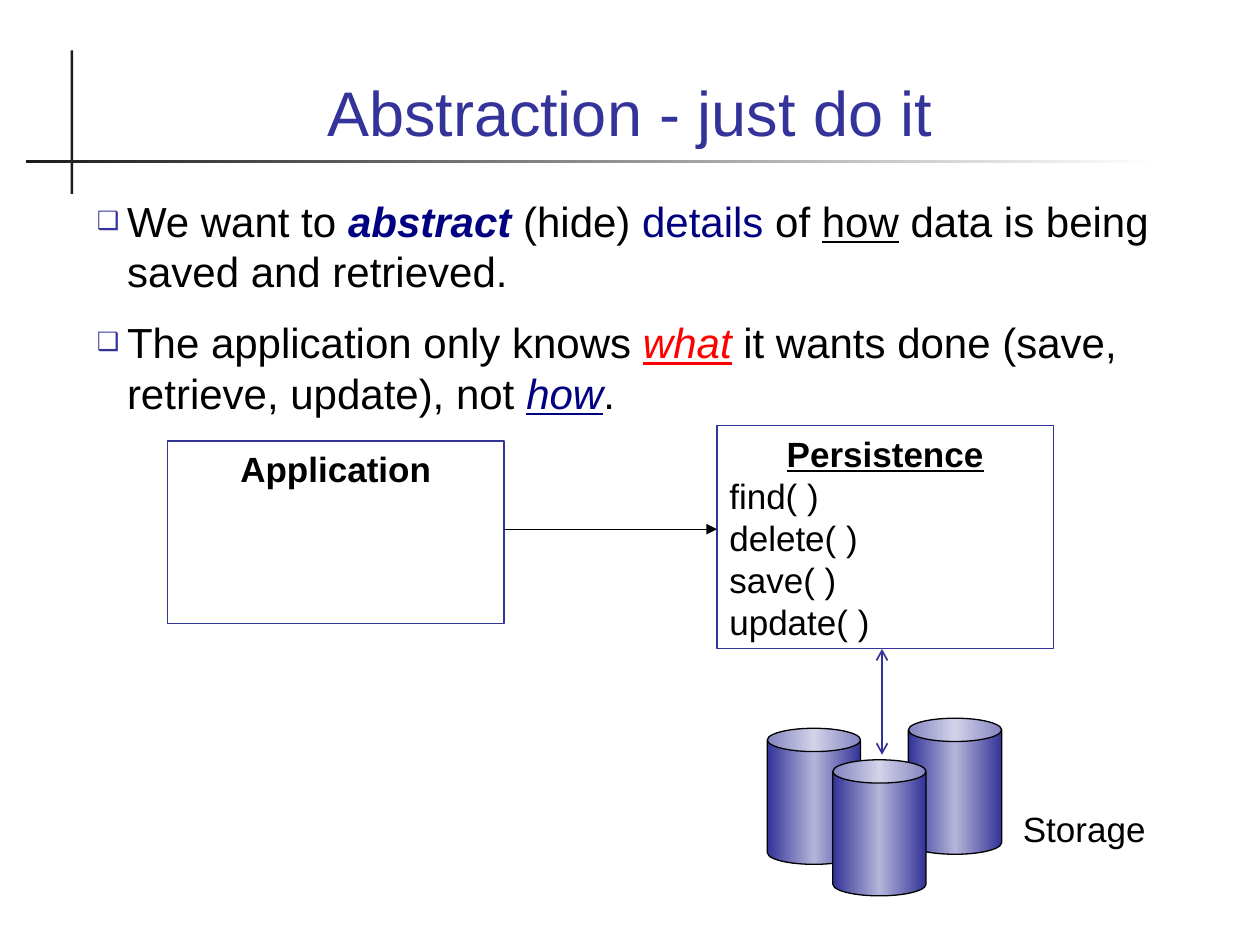
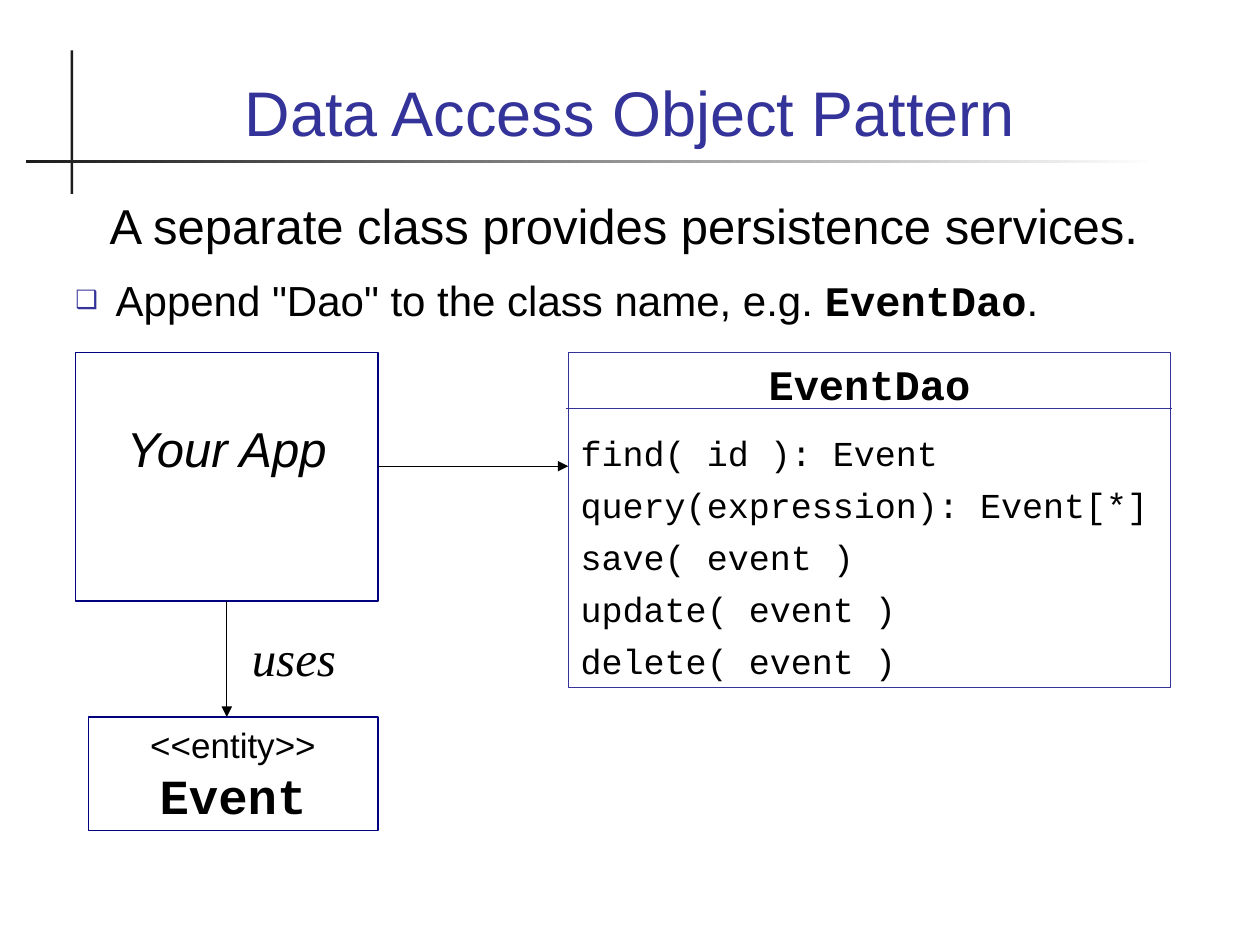
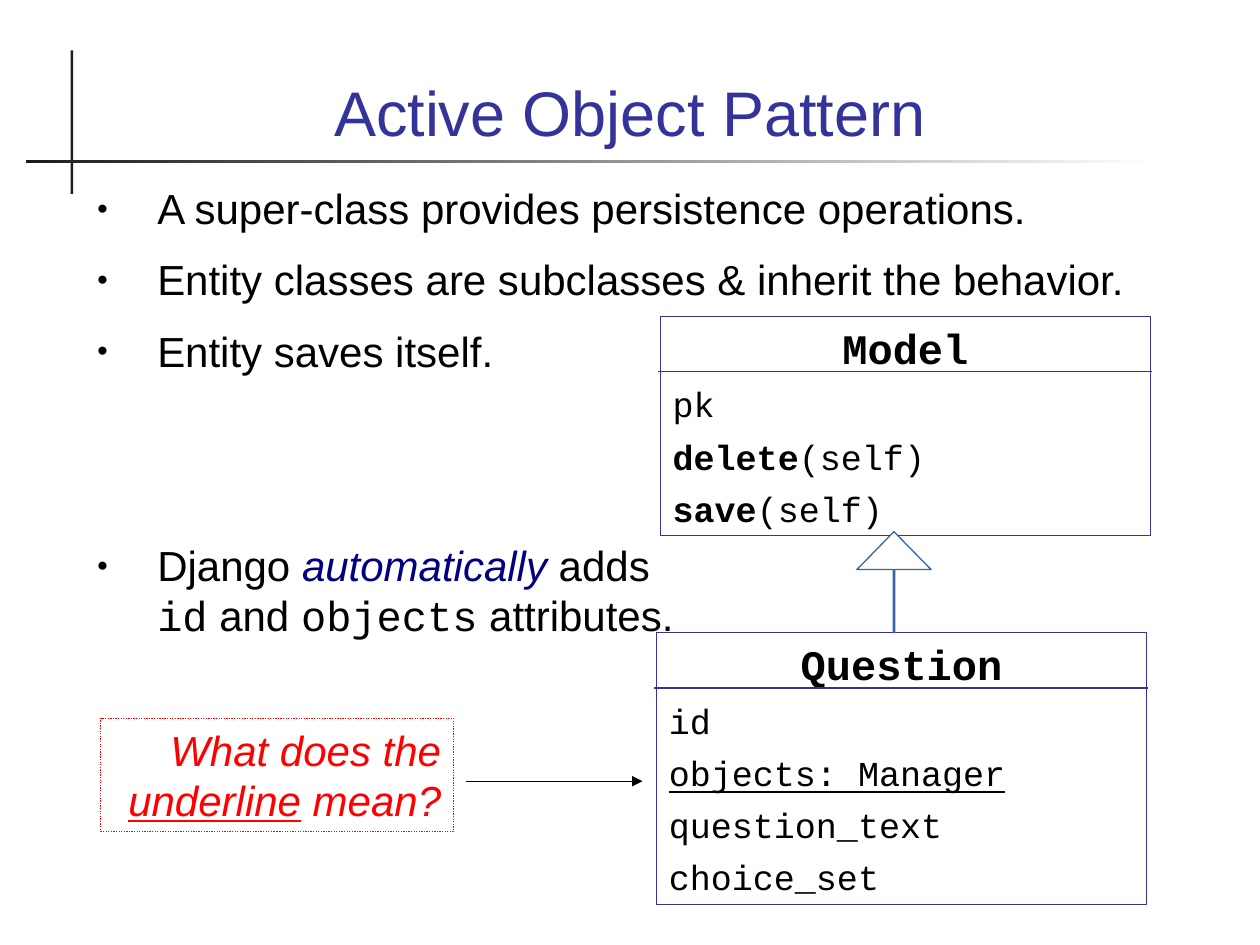
from lxml import etree
from pptx import Presentation
from pptx.dml.color import RGBColor
from pptx.enum.dml import MSO_LINE
from pptx.enum.shapes import MSO_CONNECTOR, MSO_SHAPE
from pptx.enum.text import MSO_ANCHOR, PP_ALIGN
from pptx.oxml.ns import qn
from pptx.util import Inches, Pt

RECTANGLE, CAN, UP_ARROW = MSO_SHAPE.RECTANGLE, MSO_SHAPE.CAN, MSO_SHAPE.UP_ARROW
STRAIGHT = MSO_CONNECTOR.STRAIGHT
DOTTED = MSO_LINE.ROUND_DOT
LEFT, CENTER, RIGHT = PP_ALIGN.LEFT, PP_ALIGN.CENTER, PP_ALIGN.RIGHT
TOP, BOTTOM = MSO_ANCHOR.TOP, MSO_ANCHOR.BOTTOM

INDIGO, NAVY, RED, BLACK, WHITE = "333399", "000080", "FF0000", "000000", "FFFFFF"
CHARCOAL, LAVENDER, STEEL = "1C1C1C", "B5B5D9", "3465A4"
SANS, MONO, SERIF = "Arial", "Courier New", "Times New Roman"
LINE_HEIGHT = 1.2
SQUARE_BULLET = {"char": "❑", "color": INDIGO, "percent": 60, "indent": 0.24}
WIDE_SQUARE_BULLET = {**SQUARE_BULLET, "indent": 0.32}
DOT_BULLET = {"char": "●", "color": BLACK, "percent": 45, "indent": 0.48}
BOLD, UNDERLINE, CODE = {"bold": True}, {"underline": True}, {"name": MONO}


def rgb(color):
    """Turn a hex string into a colour."""
    return RGBColor.from_string(color)


def add_bullet(para, bullet):
    """Give a paragraph a coloured bullet with a hanging indent."""
    props = para._p.get_or_add_pPr()
    indent = Inches(bullet["indent"])
    props.set("marL", str(indent))
    props.set("indent", str(-indent))
    color = etree.SubElement(props, qn("a:buClr"))
    etree.SubElement(color, qn("a:srgbClr"), val=bullet["color"])
    etree.SubElement(props, qn("a:buSzPct"), val=str(bullet["percent"] * 1000))
    etree.SubElement(props, qn("a:buFont"), typeface=SANS)
    etree.SubElement(props, qn("a:buChar"), char=bullet["char"])


def add_span(para, text, look):
    """Add one run with its font values, or a line break."""
    if text == "\n":
        para.add_line_break()
        return
    span = para.add_run()
    span.text = text
    values = {"name": SANS, "color": BLACK, **look}
    span.font.color.rgb = rgb(values.pop("color"))
    for key, value in values.items():
        setattr(span.font, key, value)


def paragraph(*spans, size=24, align=LEFT, gap=0, bullet=None, **look):
    """Describe a paragraph; each span is a text or a (text, look) pair."""
    pairs = [(span, {}) if isinstance(span, str) else span for span in spans]
    return {"spans": [(text, {**look, **own}) for text, own in pairs],
            "size": size, "align": align, "gap": gap, "bullet": bullet}


def fill_text(shape, paragraphs, anchor=TOP, top_inset=0.05):
    """Write the described paragraphs into a shape."""
    frame = shape.text_frame
    settings = {"word_wrap": True, "vertical_anchor": anchor,
                "margin_left": Inches(0.1), "margin_right": Inches(0.1),
                "margin_top": Inches(top_inset), "margin_bottom": Inches(0.05)}
    for key, value in settings.items():
        setattr(frame, key, value)
    for index, item in enumerate(paragraphs):
        para = frame.add_paragraph() if index else frame.paragraphs[0]
        if item["bullet"]:
            add_bullet(para, item["bullet"])
        layout = {"alignment": item["align"], "space_before": Pt(item["gap"]),
                  "line_spacing": Pt(LINE_HEIGHT * item["size"])}
        for key, value in layout.items():
            setattr(para, key, value)
        for text, look in item["spans"]:
            add_span(para, text, {"size": Pt(item["size"]), **look})


def add_text(page, box, paragraphs, **options):
    """Place a plain text box."""
    fill_text(page.shapes.add_textbox(*map(Inches, box)), paragraphs, **options)


def set_gradient(shape, colors):
    """Fill a shape with evenly spaced colours running from right to left."""
    gradient = etree.Element(qn("a:gradFill"), rotWithShape="1")
    stops = etree.SubElement(gradient, qn("a:gsLst"))
    for index, color in enumerate(colors):
        position = 100000 * index // (len(colors) - 1)
        stop = etree.SubElement(stops, qn("a:gs"), pos=str(position))
        etree.SubElement(stop, qn("a:srgbClr"), val=color)
    etree.SubElement(gradient, qn("a:lin"), ang="10800000", scaled="0")
    shape._element.spPr.find(qn("a:prstGeom")).addnext(gradient)


def add_figure(page, kind, box, fill=None, line=None):
    """Place a preset shape; a list of colours makes a gradient."""
    shape = page.shapes.add_shape(kind, *map(Inches, box))
    shape.shadow.inherit = False
    if isinstance(fill, list):
        set_gradient(shape, fill)
    elif fill:
        shape.fill.solid()
        shape.fill.fore_color.rgb = rgb(fill)
    else:
        shape.fill.background()
    if line:
        shape.line.color.rgb = rgb(line)
        shape.line.width = Pt(0.75)
    else:
        shape.line.fill.background()
    return shape


def add_panel(page, box, paragraphs, line=INDIGO, **options):
    """Place an outlined rectangle that holds text."""
    panel = add_figure(page, RECTANGLE, box, line=line)
    fill_text(panel, paragraphs, **options)
    return panel


def add_line(page, start, end, color=BLACK, width=0.75, head=None, tail=None):
    """Draw a straight line with optional arrowheads."""
    connector = page.shapes.add_connector(STRAIGHT, *map(Inches, start + end))
    connector.line.color.rgb = rgb(color)
    connector.line.width = Pt(width)
    outline = connector.line._get_or_add_ln()
    for tag, kind in (("a:headEnd", head), ("a:tailEnd", tail)):
        if kind:
            etree.SubElement(outline, qn(tag), type=kind)
    etree.SubElement(connector._element.spPr, qn("a:effectLst"))


def add_class(page, box, name, members, first_gap=5.8):
    """Draw a class box with a ruled name and a list of members."""
    left, top, width, _ = box
    rows = [paragraph(name, align=CENTER, name=MONO, bold=True)]
    for index, spans in enumerate(members):
        gap = 5.8 if index else first_gap
        rows.append(paragraph(*spans, size=20, gap=gap, name=MONO))
    add_panel(page, box, rows)
    rule = top + 0.44
    add_line(page, (left - 0.02, rule), (left + width + 0.01, rule), INDIGO)


def add_storage(page, left, top):
    """Draw three overlapping cylinders with a label."""
    for across, down in ((0, 0.08), (1.12, 0), (0.52, 0.33)):
        add_figure(page, CAN, (left + across, top + down, 0.74, 1.08),
                   [INDIGO, LAVENDER, INDIGO], BLACK)
    add_text(page, (left + 1.93, top + 0.66, 1.9, 0.44),
             [paragraph("Storage", size=20)])


def start_page(deck, title):
    """Add a page with the crossed rules and its title."""
    page = deck.slides.add_slide(deck.slide_layouts[6])
    add_figure(page, RECTANGLE, (0.56, 0.4, 0.02, 1.14), CHARCOAL)
    add_figure(page, RECTANGLE, (0.21, 1.27, 8.98, 0.02), [WHITE, CHARCOAL])
    add_text(page, (0.67, 0.28, 8.66, 0.95),
             [paragraph(title, size=36, align=CENTER, color=INDIGO)], anchor=BOTTOM)
    return page


def build_abstraction(deck):
    """Build the page on hiding how data is stored."""
    page = start_page(deck, "Abstraction - just do it")
    add_text(page, (0.67, 1.5, 8.66, 2.1), [
        paragraph("We want to ", ("abstract", {"color": NAVY, "bold": True, "italic": True}),
                  " (hide) ", ("details", {"color": NAVY}), " of ", ("how", UNDERLINE),
                  " data is being saved and retrieved.", bullet=SQUARE_BULLET),
        paragraph("The application only knows ",
                  ("what", {"color": RED, "italic": True, "underline": True}),
                  " it wants done (save, retrieve, update), not ",
                  ("how", {"color": NAVY, "italic": True, "underline": True}), ".",
                  gap=12, bullet=SQUARE_BULLET)])
    add_panel(page, (1.33, 3.5, 2.67, 1.45),
              [paragraph("Application", size=20, align=CENTER, bold=True)])
    add_storage(page, 6.09, 5.7)
    add_line(page, (7, 5.15), (7, 5.99), INDIGO, 1, head="arrow", tail="arrow")
    heading = paragraph("Persistence", size=20, align=CENTER, bold=True, underline=True)
    methods = ("find( )", "delete( )", "save( )", "update( )")
    add_panel(page, (5.69, 3.38, 2.67, 1.77),
              [heading] + [paragraph(method, size=20) for method in methods])
    add_line(page, (4, 4.2), (5.69, 4.2), tail="triangle")


def build_data_access(deck):
    """Build the page on the data access object."""
    page = start_page(deck, "Data Access Object Pattern")
    add_text(page, (0.5, 1.5, 8.9, 2.42), [
        paragraph("A separate class provides persistence services.", size=28, align=CENTER),
        paragraph('Append "Dao" to the class name, e.g. ', ("EventDao", {**CODE, **BOLD}),
                  ".", gap=12, bullet=WIDE_SQUARE_BULLET)])
    methods = ("find( id ): Event", "query(expression): Event[*]", "save( event )",
               "update( event )", "delete( event )")
    add_class(page, (4.51, 2.8, 4.78, 2.66), "EventDao",
              [[method] for method in methods], first_gap=12.5)
    add_panel(page, (0.6, 2.8, 2.4, 1.97),
              [paragraph("Your App", size=28, align=CENTER, italic=True)],
              line=NAVY, top_inset=0.52)
    add_line(page, (3, 3.7), (4.51, 3.7), tail="triangle")
    add_panel(page, (0.7, 5.69, 2.3, 0.9), [
        paragraph("<<entity>>", size=20, align=CENTER),
        paragraph("Event", size=28, align=CENTER, name=MONO, bold=True)], line=NAVY)
    add_line(page, (1.8, 4.77), (1.8, 5.69), tail="triangle")
    add_text(page, (1.9, 4.93, 1.1, 0.57),
             [paragraph("uses", size=28, name=SERIF, italic=True)])


def build_active_object(deck):
    """Build the page on entities that save themselves."""
    page = start_page(deck, "Active Object Pattern")
    add_text(page, (0.67, 1.4, 8.66, 4.5), [
        paragraph("A super-class provides persistence operations.", bullet=DOT_BULLET),
        paragraph("Entity classes are subclasses & inherit the behavior.",
                  gap=12, bullet=DOT_BULLET),
        paragraph("Entity saves itself.", gap=12, bullet=DOT_BULLET),
        paragraph("Django ", ("automatically", {"color": NAVY, "italic": True}), " adds",
                  "\n", ("id", CODE), " and ", ("objects", CODE), " attributes.",
                  gap=93.6, bullet=DOT_BULLET)])
    add_class(page, (5.24, 2.51, 3.89, 1.74), "Model",
              [["pk"], [("delete", BOLD), "(self)"], [("save", BOLD), "(self)"]])
    add_class(page, (5.21, 5.02, 3.89, 2.16), "Question",
              [["id"], [("objects: Manager", UNDERLINE)], ["question_text"], ["choice_set"]])
    inheritance = add_figure(page, UP_ARROW, (6.8, 4.22, 0.59, 0.8), WHITE, STEEL)
    inheritance.adjustments[0] = 0.02
    inheritance.adjustments[1] = 0.51
    question = add_panel(page, (0.8, 5.7, 2.8, 0.9), [
        paragraph("What does the ", ("underline", UNDERLINE), " mean?",
                  align=RIGHT, color=RED, italic=True)], line=RED)
    question.line.dash_style = DOTTED
    add_line(page, (3.7, 6.2), (5.1, 6.2), tail="triangle")


def main():
    """Build the deck and save it."""
    deck = Presentation()
    deck.slide_width, deck.slide_height = Inches(10), Inches(7.5)
    for build in (build_abstraction, build_data_access, build_active_object):
        build(deck)
    deck.save("out.pptx")


if __name__ == "__main__":
    main()
